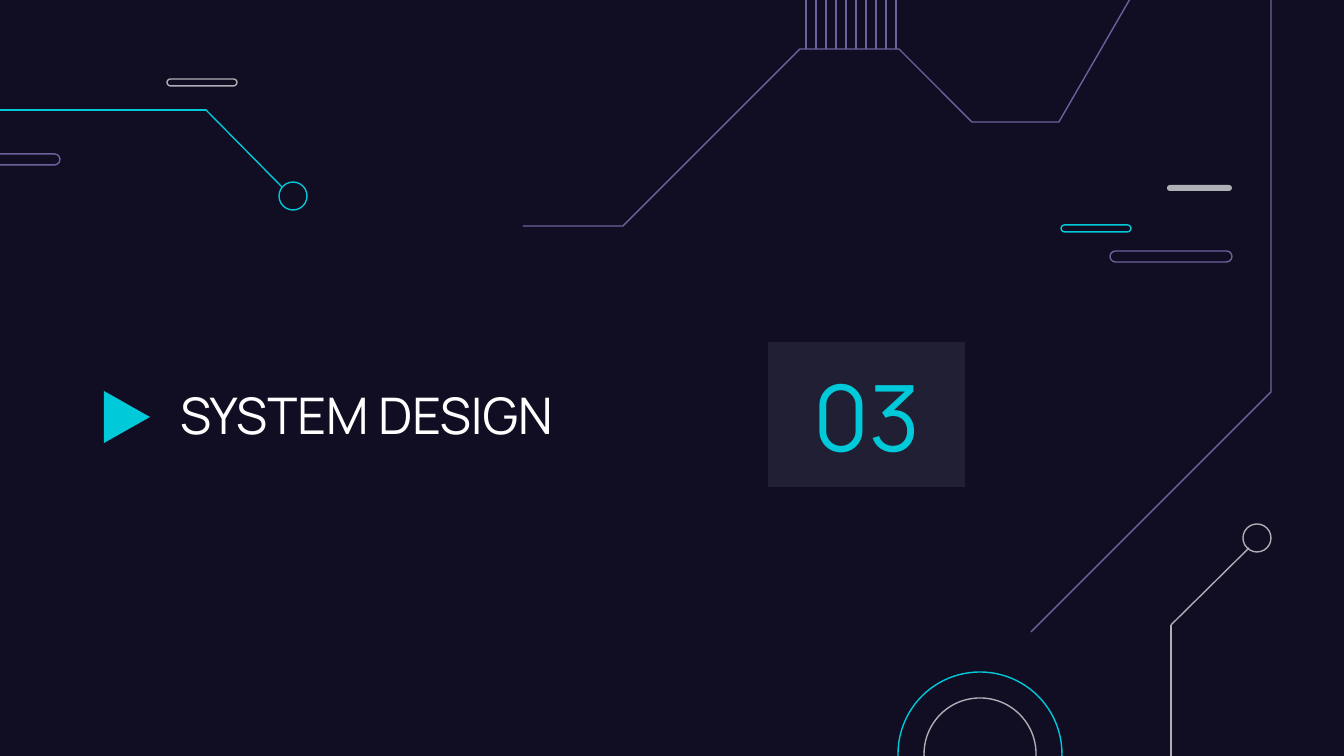
from lxml import etree
from pptx import Presentation, util as u
from pptx.dml.color import RGBColor
from pptx.enum import shapes, text
from pptx.oxml.ns import qn

PX = 914400 / 134.4
THEME = {
    "night": "110E24", "white": "FFFFFF", "cyan": "00CADA",
    "violet": "69639C", "grey": "AFAFB6",
    "font": "Manrope", "title": 27, "number": 49, "line": 0.75,
}
KIND = shapes.MSO_SHAPE


def hue(name):
    return RGBColor.from_string(THEME[name])


def paint(shape, fill=None, line=None):
    """Set fill and outline by theme colour name; None means empty."""
    shape.shadow.inherit = False
    for part, name in ((shape.fill, fill), (shape.line.fill, line)):
        if name:
            part.solid()
            part.fore_color.rgb = hue(name)
        else:
            part.background()
    if line:
        shape.line.width = u.Pt(THEME["line"])


deck = Presentation()
deck.slide_width, deck.slide_height = round(1344 * PX), round(756 * PX)
slide = deck.slides.add_slide(deck.slide_layouts[6])
slide.background.fill.solid()
slide.background.fill.fore_color.rgb = hue("night")
items = slide.shapes

# Straight traces: the comb at the top, then the two circuit ends
wires = [(806 + 10 * i, 49, 806 + 10 * i, -519, "violet") for i in range(10)]
wires += [
    (1171, 625, 1171, 1017, "grey"), (1171, 625, 1249, 548, "grey"),
    (206, 110, -187, 110, "cyan"), (206, 110, 282, 187, "cyan"),
]
for *ends, tone in wires:
    wire = items.add_connector(shapes.MSO_CONNECTOR.STRAIGHT, *(round(v * PX) for v in ends))
    wire.line.color.rgb = hue(tone)
    wire.line.width = u.Pt(THEME["line"])
    etree.SubElement(wire._element.spPr, qn("a:effectLst"))

# Bent traces
bends = [
    [(1031, 632), (1271, 392), (1271, -238)],
    [(523, 226), (623, 226), (800, 49), (899, 49), (972, 122),
     (1059, 122), (1167, -65), (1406, -65)],
]
for start, *rest in bends:
    pen = items.build_freeform(*start, scale=PX)
    pen.add_line_segments(rest, close=False)
    paint(pen.convert_to_shape(), line="violet")

# Rings: left, top, diameter, colour
rings = [
    (898, 672, 164, "cyan"), (924, 698, 112, "grey"),
    (1243, 524, 28, "grey"), (279, 182, 28, "cyan"),
]
for x, y, d, tone in rings:
    ring = items.add_shape(KIND.OVAL, *(round(v * PX) for v in (x, y, d, d)))
    paint(ring, line=tone)

# Pills: left, top, width, height, fill, line
pills = [
    (167, 79, 70, 7, None, "grey"), (-60, 154, 120, 11, None, "violet"),
    (1167, 185, 65, 6, "grey", None), (1061, 225, 70, 7, None, "cyan"),
    (1110, 251, 122, 11, None, "violet"),
]
for *box, fill, line in pills:
    pill = items.add_shape(KIND.ROUNDED_RECTANGLE, *(round(v * PX) for v in box))
    pill.adjustments[0] = 0.5
    paint(pill, fill, line)

mark = items.add_shape(KIND.FLOWCHART_MERGE, *(round(v * PX) for v in (101, 394, 52, 46)))
mark.rotation = 270
paint(mark, "cyan")

title = items.add_textbox(*(round(v * PX) for v in (167, 342, 601, 145)))
panel = items.add_shape(KIND.RECTANGLE, *(round(v * PX) for v in (768, 342, 197, 145)))
paint(panel, "white")
tint = panel._element.spPr.find(qn("a:solidFill"))[0]
etree.SubElement(tint, qn("a:alpha"), val="7000")

frame = {"word_wrap": True, "vertical_anchor": text.MSO_ANCHOR.MIDDLE}
frame.update({f"margin_{side}": u.Inches(0.1) for side in ("left", "top", "right", "bottom")})
labels = [
    (title, "SYSTEM DESIGN", "title", "white", text.PP_ALIGN.LEFT),
    (panel, "03", "number", "cyan", text.PP_ALIGN.CENTER),
]
for shape, words, size, tone, align in labels:
    for key, value in frame.items():
        setattr(shape.text_frame, key, value)
    para = shape.text_frame.paragraphs[0]
    para.alignment = align
    run = para.add_run()
    run.text = words
    run.font.name, run.font.size = THEME["font"], u.Pt(THEME[size])
    run.font.color.rgb = hue(tone)

deck.save("out.pptx")
